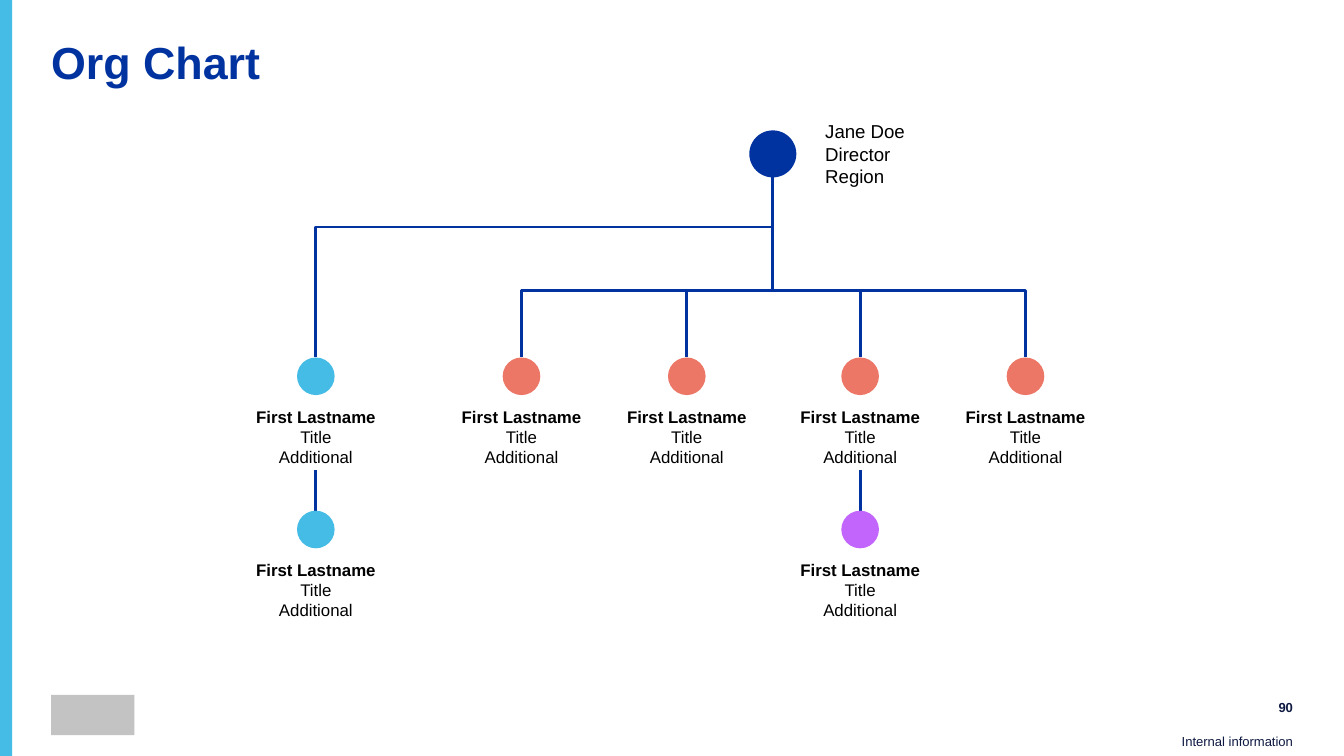
from dataclasses import dataclass

from lxml.etree import SubElement
from pptx import Presentation
from pptx.dml.color import RGBColor as Rgb
from pptx.enum.shapes import MSO_CONNECTOR as Link, MSO_SHAPE as Kind
from pptx.enum.text import MSO_ANCHOR as Anchor, PP_ALIGN as Align
from pptx.oxml.ns import qn
from pptx.util import Inches, Pt


@dataclass(frozen=True)
class Theme:
    font: str = "Arial"
    navy: str = "0033A0"
    sky: str = "45BCE5"
    coral: str = "ED7766"
    violet: str = "C265FC"
    black: str = "000000"
    ink: str = "0E1941"
    grey: str = "C3C3C3"
    title_size: float = 24
    leader_size: float = 10
    member_size: float = 9
    footer_size: float = 7
    line_width: float = 1.5


theme = Theme()


def write(shape, lines, *, size, color, align=Align.LEFT, anchor=Anchor.MIDDLE,
          inset=0, bottom=None, bold_lines=0, spacing=1.0):
    frame = shape.text_frame
    frame.word_wrap = True
    frame.vertical_anchor = anchor
    frame.margin_left = frame.margin_right = frame.margin_top = Inches(inset)
    frame.margin_bottom = Inches(inset if bottom is None else bottom)
    for index, line in enumerate(lines):
        paragraph = frame.paragraphs[0] if index == 0 else frame.add_paragraph()
        paragraph.alignment = align
        paragraph.line_spacing = spacing
        run = paragraph.add_run()
        run.text = line
        run.font.name = theme.font
        run.font.size = Pt(size)
        run.font.bold = index < bold_lines
        run.font.color.rgb = Rgb.from_string(color)


def draw(kind, left, top, width, height, fill=None):
    shape = slide.shapes.add_shape(
        kind, Inches(left), Inches(top), Inches(width), Inches(height))
    shape.shadow.inherit = False
    shape.line.fill.background()
    if fill:
        shape.fill.solid()
        shape.fill.fore_color.rgb = Rgb.from_string(fill)
    else:
        shape.fill.background()
    return shape


slide_width = 10
slide_height = slide_width * 9 / 16
deck = Presentation()
deck.slide_width, deck.slide_height = Inches(slide_width), Inches(slide_height)
slide = deck.slides.add_slide(deck.slide_layouts[5])

draw(Kind.RECTANGLE, 0, 0, 0.09, slide_height, theme.sky)
draw(Kind.RECTANGLE, 0.38, 5.17, 0.62, 0.3, theme.grey)

title = slide.shapes.title
title.left, title.top = Inches(0.38), Inches(0.3)
title.width, title.height = Inches(9.25), Inches(0.49)
write(title, ["Org Chart"], size=theme.title_size, color=theme.navy,
      anchor=Anchor.TOP, bold_lines=1, spacing=0.9)

page_number = slide.shapes.add_textbox(Inches(9.03), Inches(5.17), Inches(0.59), Inches(0.18))
write(page_number, ["90"], size=theme.footer_size, color=theme.ink,
      align=Align.RIGHT, bold_lines=1)
classification = slide.shapes.add_textbox(Inches(8.72), Inches(5.46), Inches(0.9), Inches(0.16))
write(classification, ["Internal information"], size=theme.footer_size, color=theme.ink,
      align=Align.RIGHT, anchor=Anchor.BOTTOM, bottom=0.05)

trunk_x, assistant_x, lead_x = 5.75, 2.35, 6.4
upper_y, branch_y, team_y, report_y = 1.69, 2.16, 2.66, 3.8
leader_dot, member_dot = 0.35, 0.28
label_width, label_height, label_drop = 1.29, 0.5, 0.34
label_bottom = team_y + label_drop + label_height

reporting_lines = [
    (trunk_x, branch_y, 3.88, team_y),
    (trunk_x, branch_y, 7.63, team_y),
    (trunk_x, upper_y, assistant_x, team_y),
    (trunk_x, 1.32, trunk_x, branch_y),
    (5.11, branch_y, 5.11, team_y),
    (lead_x, branch_y, lead_x, team_y),
    (assistant_x, label_bottom, assistant_x, report_y),
    (lead_x, label_bottom, lead_x, report_y),
]
for start_x, start_y, end_x, end_y in reporting_lines:
    bent = start_x != end_x
    reporting_line = slide.shapes.add_connector(
        Link.ELBOW if bent else Link.STRAIGHT,
        Inches(start_x), Inches(start_y), Inches(end_x), Inches(end_y))
    reporting_line.line.color.rgb = Rgb.from_string(theme.navy)
    reporting_line.line.width = Pt(theme.line_width)
    properties = reporting_line.element.spPr
    SubElement(properties, qn("a:effectLst"))
    if bent:
        properties.find(qn("a:prstGeom")).set("prst", "bentConnector2")

draw(Kind.OVAL, trunk_x - leader_dot / 2, 0.97, leader_dot, leader_dot, theme.navy)
leader = draw(Kind.ROUNDED_RECTANGLE, 6.02, 0.92, 1.92, 0.45)
write(leader, ["Jane Doe", "Director", "Region"], size=theme.leader_size,
      color=theme.black, inset=0.1)

members = [
    (assistant_x, team_y, theme.sky),
    (3.88, team_y, theme.coral),
    (5.11, team_y, theme.coral),
    (lead_x, team_y, theme.coral),
    (7.63, team_y, theme.coral),
    (assistant_x, report_y, theme.sky),
    (lead_x, report_y, theme.violet),
]
for center_x, top, color in members:
    draw(Kind.OVAL, center_x - member_dot / 2, top, member_dot, member_dot, color)
    member = draw(Kind.ROUNDED_RECTANGLE, center_x - label_width / 2, top + label_drop,
                  label_width, label_height)
    write(member, ["First Lastname", "Title", "Additional"], size=theme.member_size,
          color=theme.black, align=Align.CENTER, inset=0.1, bold_lines=1)

deck.save("out.pptx")
